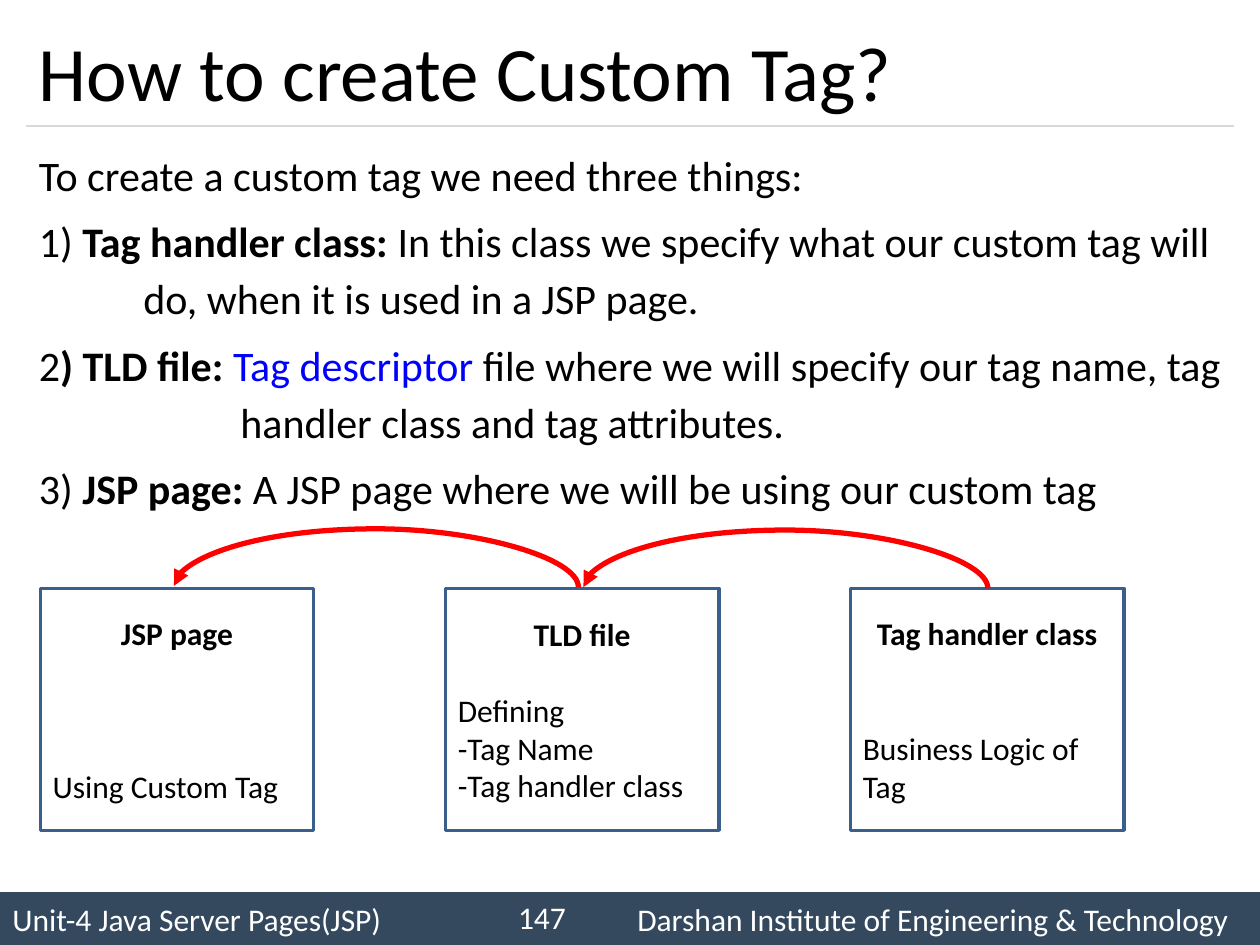
import pptx
import pptx.util
import pptx.dml.color
import pptx.enum.shapes
import pptx.enum.text
import pptx.oxml
import pptx.oxml.ns
from pptx.util import Inches

ALIGN = pptx.enum.text.PP_ALIGN
ANCHOR = pptx.enum.text.MSO_ANCHOR
RECTANGLE = pptx.enum.shapes.MSO_SHAPE.RECTANGLE
CURVE = pptx.enum.shapes.MSO_CONNECTOR.CURVE
STRAIGHT = pptx.enum.shapes.MSO_CONNECTOR.STRAIGHT
BLACK, WHITE, BLUE, RED = "000000", "FFFFFF", "0000FF", "FF0000"


def color(hex_value):
    return pptx.dml.color.RGBColor.from_string(hex_value)


def add_run(paragraph, text, size, hex_value=BLACK, bold=False):
    run = paragraph.add_run()
    run.text = text
    run.font.name = "Calibri"
    run.font.size = pptx.util.Pt(size)
    run.font.bold = bold
    run.font.color.rgb = color(hex_value)


presentation = pptx.Presentation()
presentation.slide_width = Inches(10)
presentation.slide_height = Inches(7.5)
slide = presentation.slides.add_slide(presentation.slide_layouts[6])
shapes = slide.shapes

# Footer bar: unit name, then the institute at a tab stop
footer = shapes.add_shape(RECTANGLE, Inches(0), Inches(7.08), Inches(10), Inches(0.42))
footer.shadow.inherit = False
footer.fill.solid()
footer.fill.fore_color.rgb = color("34495E")
footer.line.fill.background()
footer.text_frame.vertical_anchor = ANCHOR.MIDDLE
paragraph = footer.text_frame.paragraphs[0]
paragraph.alignment = ALIGN.LEFT
tab_list = pptx.oxml.parse_xml(
    f'<a:tabLst {pptx.oxml.ns.nsdecls("a")}><a:tab pos="{Inches(4.96)}" algn="l"/></a:tabLst>')
paragraph._p.get_or_add_pPr().append(tab_list)
add_run(paragraph, "Unit-4 Java Server Pages(JSP)\tDarshan Institute of Engineering & Technology", 18, WHITE)

page_number = shapes.add_textbox(Inches(3.92), Inches(7.08), Inches(0.67), Inches(0.4))
page_number.text_frame.word_wrap = True
page_number.text_frame.vertical_anchor = ANCHOR.MIDDLE
paragraph = page_number.text_frame.paragraphs[0]
paragraph.alignment = ALIGN.RIGHT
add_run(paragraph, "147", 18, WHITE)

# Title and rule
title = shapes.add_textbox(Inches(0.21), Inches(0.12), Inches(9.58), Inches(0.88))
title.text_frame.word_wrap = True
title.text_frame.vertical_anchor = ANCHOR.MIDDLE
add_run(title.text_frame.paragraphs[0], "How to create Custom Tag?", 44)

rule = shapes.add_connector(STRAIGHT, Inches(0.21), Inches(1), Inches(9.79), Inches(1))
rule.line.color.rgb = color("D9D9D9")
rule.line.width = pptx.util.Pt(0.75)

# Body: hanging indent in inches, then runs of text, colour and bold
body_paragraphs = [
    (0, [("To create a custom tag we need three things:", BLACK, False)]),
    (0.83, [("1) ", BLACK, False),
            ("Tag handler class: ", BLACK, True),
            ("In this class we specify what our custom tag will do, when it is used in a JSP page.",
             BLACK, False)]),
    (1.6, [("2", BLACK, False),
           (") TLD file: ", BLACK, True),
           ("Tag descriptor ", BLUE, False),
           ("file where we will specify our tag name, tag handler class and tag attributes.",
            BLACK, False)]),
    (0, [("3) ", BLACK, False),
         ("JSP page: ", BLACK, True),
         ("A JSP page where we will be using our custom tag", BLACK, False)]),
]
body = shapes.add_textbox(Inches(0.21), Inches(1.08), Inches(9.58), Inches(5.83))
frame = body.text_frame
frame.word_wrap = True
frame.margin_right = Inches(0.06)
for index, (hanging, runs) in enumerate(body_paragraphs):
    paragraph = frame.add_paragraph() if index else frame.paragraphs[0]
    paragraph.alignment = ALIGN.LEFT if hanging else ALIGN.JUSTIFY
    paragraph.line_spacing = 1.14
    paragraph.space_before = pptx.util.Pt(5 if index else 0)
    properties = paragraph._p.get_or_add_pPr()
    properties.set("marL", str(Inches(hanging)))
    properties.set("indent", str(-Inches(hanging)))
    for text, hex_value, bold in runs:
        add_run(paragraph, text, 24, hex_value, bold)

# Boxes: heading, gap below it in lines, details
line_height = 22
boxes = [
    ("JSP page", 3, ["Using Custom Tag"]),
    ("TLD file", 1, ["Defining", "-Tag Name", "-Tag handler class"]),
    ("Tag handler class", 2, ["Business Logic of Tag"]),
]
for index, (heading, gap_lines, details) in enumerate(boxes):
    box = shapes.add_shape(RECTANGLE, Inches(0.32 + 3.215 * index), Inches(4.67), Inches(2.17), Inches(1.92))
    box.shadow.inherit = False
    box.fill.background()
    box.line.color.rgb = color("3A5F8C")
    box.line.width = pptx.util.Pt(2)
    frame = box.text_frame
    frame.word_wrap = True
    frame.vertical_anchor = ANCHOR.MIDDLE
    paragraph = frame.paragraphs[0]
    paragraph.alignment = ALIGN.CENTER
    add_run(paragraph, heading, 18, bold=True)
    for detail_index, detail in enumerate(details):
        paragraph = frame.add_paragraph()
        paragraph.alignment = ALIGN.LEFT
        paragraph.space_before = pptx.util.Pt(0 if detail_index else gap_lines * line_height)
        add_run(paragraph, detail, 18)

# Arrows arching from box to box: thin upright curves, turned by 270 degrees
arrows = []
for left, top in [(6.23, 3.06), (2.98, 3.05)]:
    arrow = shapes.add_connector(CURVE, Inches(left), Inches(top + 3.21), Inches(left + 0.01), Inches(top))
    arrow.line.color.rgb = color(RED)
    arrow.line.width = pptx.util.Pt(3)
    properties = arrow._element.spPr
    properties.xfrm.set("rot", str(270 * 60000))
    guides = properties.find(pptx.oxml.ns.qn("a:prstGeom")).get_or_add_avLst()
    guides.append(pptx.oxml.parse_xml(
        f'<a:gd {pptx.oxml.ns.nsdecls("a")} name="adj1" fmla="val 4700000"/>'))
    arrow.line._get_or_add_ln().append(pptx.oxml.parse_xml(
        f'<a:tailEnd {pptx.oxml.ns.nsdecls("a")} type="triangle"/>'))
    arrows.append(arrow)

for connector in [rule, *arrows]:
    connector._element.spPr.append(pptx.oxml.parse_xml(
        f'<a:effectLst {pptx.oxml.ns.nsdecls("a")}/>'))

presentation.save("out.pptx")
